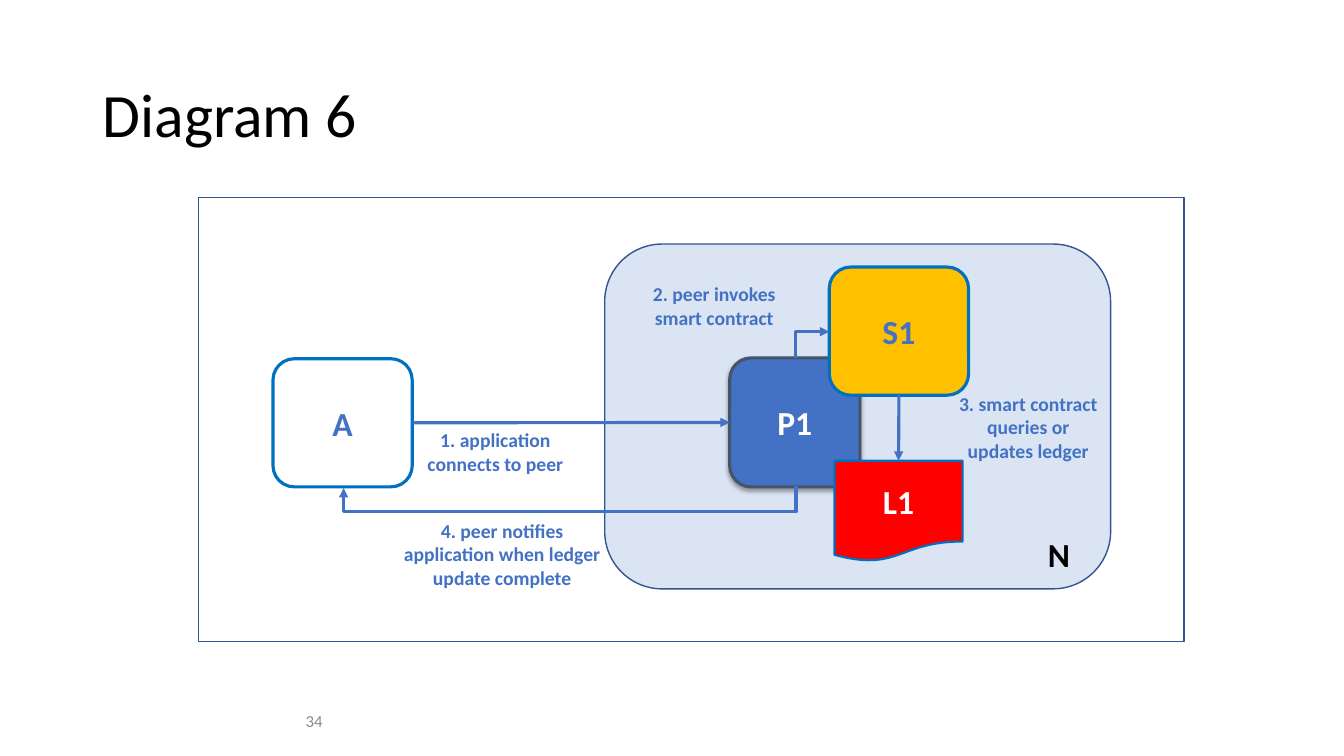
from pptx import Presentation
from pptx import util as u
from pptx.dml.color import RGBColor
from pptx.enum import shapes, text
from pptx.oxml import parse_xml
from pptx.oxml.ns import nsdecls, qn

FONT = "Calibri"
BLUE, EDGE, RIM = "4372C4", "325491", "0070C0"
KINDS = shapes.MSO_SHAPE
LEFT, CENTER, RIGHT = text.PP_ALIGN.LEFT, text.PP_ALIGN.CENTER, text.PP_ALIGN.RIGHT

# Places are left, top, width, height in centimetres
TITLE = ("Diagram 6", (2.34, 1.12, 29.21, 3.68))
PAGE_NUMBER = ("34", (0.76, 17.65, 7.62, 1.02))
FRAME = (5, 4.98, 24.84, 11.18)
NETWORK = (15.24, 6.15, 12.75, 8.69)
NETWORK_NAME = ("N", (26.16, 13.34, 1.47, 1.27))
# name, kind, place, fill, line, line width, text colour
NODES = [
    ("P1", KINDS.ROUNDED_RECTANGLE, (18.39, 9.02, 3.28, 3.25), BLUE, "44546A", 2.25, "FFFFFF"),
    ("L1", KINDS.FLOWCHART_DOCUMENT, (21.03, 11.61, 3.23, 2.54), "FF0000", RIM, 1.5, "FFFFFF"),
    ("S1", KINDS.ROUNDED_RECTANGLE, (20.9, 6.73, 3.51, 3.23), "FFC000", RIM, 2.25, BLUE),
    ("A", KINDS.ROUNDED_RECTANGLE, (6.88, 9.04, 3.51, 3.23), "FFFFFF", RIM, 2.25, BLUE),
]
STEPS = [
    ("1. application connects to peer", (10.39, 10.67, 4.19, 1.45)),
    ("2. peer invokes smart contract", (15.88, 6.99, 4.24, 1.45)),
    ("3. smart contract queries or\nupdates ledger", (23.83, 9.75, 4.17, 2.06)),
    ("4. peer notifies application when ledger update complete", (9.91, 12.95, 5.49, 2.06)),
]
# start node, side, end node, side (0 top, 1 left, 2 bottom, 3 right)
STRAIGHT_ARROWS = [("S1", 2, "L1", 0), ("A", 3, "P1", 1)]
# start and end before a quarter turn, preset, bend as a share of the width
BENT_ARROWS = [
    ((20.8, 9.12, 20.14, 8.26), "bentConnector2", None),
    ((14.34, 6.58, 14.38, 17.98), "bentConnector3", 15.75),
]


def lengths(place):
    return [u.Cm(value) for value in place]


def color(hex_value):
    return RGBColor.from_string(hex_value)


def write(shape, words, size, hex_value, align, bold=False, anchor=text.MSO_ANCHOR.MIDDLE):
    frame = shape.text_frame
    frame.word_wrap = True
    frame.vertical_anchor = anchor
    frame.text = words
    for para in frame.paragraphs:
        para.alignment = align
        for span in para.runs:
            span.font.name, span.font.size, span.font.bold = FONT, u.Pt(size), bold
            span.font.color.rgb = color(hex_value)


def add_box(parent, kind, place, fill, line, width):
    box = parent.shapes.add_shape(kind, *lengths(place))
    box.shadow.inherit = False
    if fill:
        box.fill.solid()
        box.fill.fore_color.rgb = color(fill)
    else:
        box.fill.background()
    box.line.color.rgb = color(line)
    box.line.width = u.Pt(width)
    return box


def add_label(parent, words, place, *style, **options):
    write(parent.shapes.add_textbox(*lengths(place)), words, *style, **options)


def add_arrow(parent, kind, ends):
    arrow = parent.shapes.add_connector(kind, *lengths(ends))
    arrow.line.color.rgb = color(BLUE)
    arrow.line.width = u.Pt(2.25)
    properties = arrow.element.spPr
    properties.find(qn("a:ln")).append(
        parse_xml(f'<a:tailEnd {nsdecls("a")} type="triangle"/>'))
    properties.append(parse_xml(f'<a:effectLst {nsdecls("a")}/>'))
    return arrow


def bend(arrow, preset, share):
    """Turn the connector by 90 degrees and set its elbow."""
    properties = arrow.element.spPr
    properties.find(qn("a:xfrm")).set("rot", str(90 * 60000))
    geometry = properties.find(qn("a:prstGeom"))
    geometry.set("prst", preset)
    if share:
        geometry.find(qn("a:avLst")).append(parse_xml(
            f'<a:gd {nsdecls("a")} name="adj1" fmla="val {round(share * 100000)}"/>'))


def add_shadow(box):
    box.element.spPr.find(qn("a:effectLst")).append(parse_xml(
        f'<a:outerShdw {nsdecls("a")} blurRad="{u.Pt(3.1)}" dist="{u.Pt(1.8)}" dir="5400000" '
        'rotWithShape="0"><a:srgbClr val="000000"><a:alpha val="35000"/></a:srgbClr>'
        '</a:outerShdw>'))


def main():
    deck = Presentation()
    deck.slide_width, deck.slide_height = u.Cm(33.87), u.Cm(19.05)
    page = deck.slides.add_slide(deck.slide_layouts[6])
    add_label(page, *TITLE, 44, "000000", LEFT)
    add_label(page, *PAGE_NUMBER, 12, "8C8C8C", RIGHT)

    diagram = page.shapes.add_group_shape()
    add_box(diagram, KINDS.ROUNDED_RECTANGLE, NETWORK, "DBE4F3", EDGE, 1)
    nodes = {}
    for name, kind, place, fill, line, width, ink in NODES:
        nodes[name] = add_box(diagram, kind, place, fill, line, width)
        write(nodes[name], name, 24, ink, CENTER, bold=True)
    add_shadow(nodes["P1"])

    for start, start_side, end, end_side in STRAIGHT_ARROWS:
        arrow = add_arrow(diagram, shapes.MSO_CONNECTOR.STRAIGHT, (0, 0, 0, 0))
        arrow.begin_connect(nodes[start], start_side)
        arrow.end_connect(nodes[end], end_side)
    for ends, preset, share in BENT_ARROWS:
        bend(add_arrow(diagram, shapes.MSO_CONNECTOR.ELBOW, ends), preset, share)

    top = text.MSO_ANCHOR.TOP
    for words, place in STEPS:
        add_label(diagram, words, place, 14, BLUE, CENTER, bold=True, anchor=top)
    add_label(diagram, *NETWORK_NAME, 24, "000000", LEFT, bold=True, anchor=top)
    add_box(page, KINDS.RECTANGLE, FRAME, None, EDGE, 1)
    for paragraph_box in page.shapes[0], nodes["P1"]:
        paragraph_box.text_frame.paragraphs[0].line_spacing = 0.9 if paragraph_box.shape_id == page.shapes[0].shape_id else 1
    diagram_extent = diagram.element.grpSpPr.find(qn("a:xfrm"))
    # The group spans exactly the network and node A
    left, right = NODES[-1][2][0], NETWORK[0] + NETWORK[2]
    upper, lower = NETWORK[1], STEPS[-1][1][1] + STEPS[-1][1][3]
    for tag, across, down, keys in (
            ("off", left, upper, "xy"), ("chOff", left, upper, "xy"),
            ("ext", right - left, lower - upper, ("cx", "cy")),
            ("chExt", right - left, lower - upper, ("cx", "cy"))):
        node = diagram_extent.find(qn(f"a:{tag}"))
        node.set(keys[0], str(u.Cm(across)))
        node.set(keys[1], str(u.Cm(down)))
    deck.save("out.pptx")


if __name__ == "__main__":
    main()
